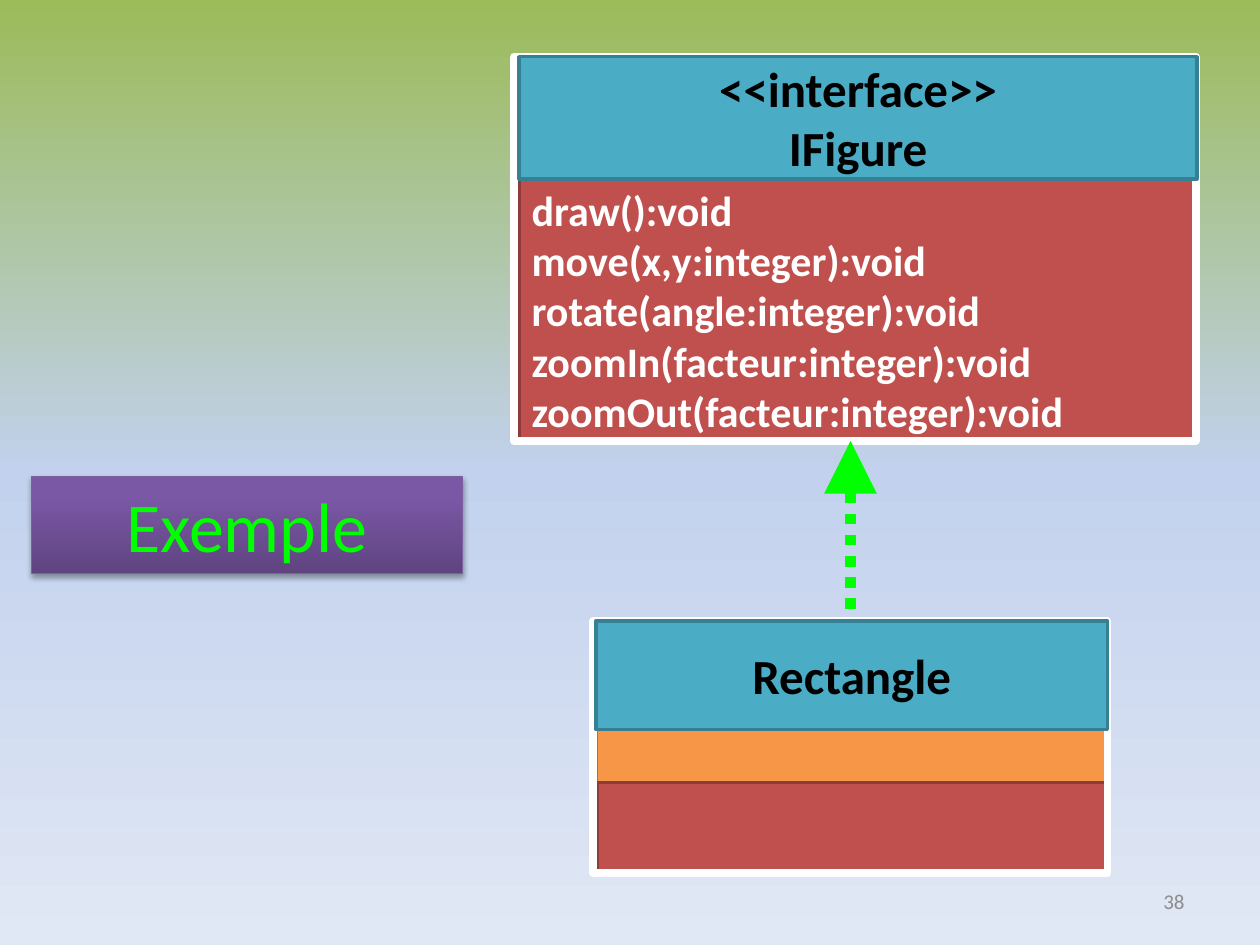
"""Build a UML slide: the class Rectangle realises the interface IFigure."""
from lxml import etree
from pptx import Presentation
from pptx import util as u
from pptx.dml.color import RGBColor
from pptx.enum import dml, shapes, text
from pptx.oxml import ns

COLORS = {
    "green": "00FF00", "white": "FFFFFF", "black": "000000", "grey": "8C8C8C",
    "blue": "4BACC6", "blue_edge": "377F92", "red": "C0504D", "red_edge": "8E3B39",
    "orange": "F79646", "orange_edge": "B76F34", "purple_edge": "7D60A0",
}
SKY = [(0, "9BBB59"), (50, "C2D1ED"), (100, "E1E8F5")]
PURPLE = [(0, "5F4480"), (80, "7B58A6"), (100, "7C57A8")]
LEFT, CENTER, RIGHT = text.PP_ALIGN.LEFT, text.PP_ALIGN.CENTER, text.PP_ALIGN.RIGHT


def write(sp, lines, size, color, align, bold=False, anchor=text.MSO_ANCHOR.MIDDLE):
    """Fill a shape with equally formatted paragraphs."""
    tf = sp.text_frame
    tf.word_wrap = True
    tf.vertical_anchor = anchor
    tf.text = "\n".join(lines)
    for p in tf.paragraphs:
        p.alignment = align
        for r in p.runs:
            r.font.name = "Calibri"
            r.font.size = u.Pt(size)
            r.font.bold = bold
            r.font.color.rgb = RGBColor.from_string(COLORS[color])


def shade(fill, element, stops, angle):
    """Give a fill a linear gradient with any number of stops."""
    fill.gradient()
    fill.gradient_angle = angle
    stop_list = element.xpath(".//a:gsLst")[0]
    for gs in list(stop_list):
        stop_list.remove(gs)
    for pos, color in stops:
        gs = etree.SubElement(stop_list, ns.qn("a:gs"), pos=str(pos * 1000))
        etree.SubElement(gs, ns.qn("a:srgbClr"), val=color)


prs = Presentation()
prs.slide_width, prs.slide_height = u.Inches(10), u.Inches(7.5)
s = prs.slides.add_slide(prs.slide_layouts[5])
shade(s.background.fill, s._element, SKY, 270)

number = s.shapes.add_textbox(u.Inches(7.17), u.Inches(6.95), u.Inches(2.33), u.Inches(0.4))
write(number, ["38"], 12, "grey", RIGHT)

methods = ["draw():void", "move(x,y:integer):void", "rotate(angle:integer):void",
           "zoomIn(facteur:integer):void", "zoomOut(facteur:integer):void"]
interface_parts = [
    (4.12, 1.42, 5.38, 2.08, "red", methods),
    (4.08, 0.45, 5.41, 3.05, None, []),
    (4.12, 0.45, 5.38, 0.97, "blue", ["<<interface>>", "IFigure"]),
]
class_parts = [
    (4.73, 5.37, 4.06, 0.85, "orange", []),
    (4.74, 6.21, 4.06, 0.71, "red", []),
    (4.71, 4.93, 4.08, 2, None, []),
    (4.73, 4.93, 4.06, 0.86, "blue", ["Rectangle"]),
]
for parts in (interface_parts, class_parts):
    group = s.shapes.add_group_shape()
    for x, y, w, h, color, lines in parts:
        sp = group.shapes.add_shape(shapes.MSO_SHAPE.RECTANGLE,
                                    u.Inches(x), u.Inches(y), u.Inches(w), u.Inches(h))
        sp.shadow.inherit = False
        if color:
            sp.fill.solid()
            sp.fill.fore_color.rgb = RGBColor.from_string(COLORS[color])
        else:
            sp.fill.background()
        edge = f"{color}_edge" if color else "white"
        sp.line.color.rgb = RGBColor.from_string(COLORS[edge])
        sp.line.width = u.Pt(2 if color else 4.5)
        if color == "blue":
            write(sp, lines, 28, "black", CENTER, bold=True)
        elif lines:
            write(sp, lines, 24, "white", LEFT, bold=True)

arrow = s.shapes.add_connector(shapes.MSO_CONNECTOR.STRAIGHT,
                               u.Inches(6.75), u.Inches(4.83), u.Inches(6.75), u.Inches(3.5))
arrow.line.color.rgb = RGBColor.from_string(COLORS["green"])
arrow.line.width = u.Pt(6)
arrow.line.dash_style = dml.MSO_LINE.ROUND_DOT
etree.SubElement(arrow.line._get_or_add_ln(), ns.qn("a:tailEnd"),
                 type="triangle", w="lg", len="lg")
etree.SubElement(arrow._element.spPr, ns.qn("a:effectLst"))

title = s.shapes.title
title.left, title.top = u.Inches(0.25), u.Inches(3.78)
title.width, title.height = u.Inches(3.42), u.Inches(0.77)
shade(title.fill, title._element, PURPLE, 90)
title.line.color.rgb = RGBColor.from_string(COLORS["purple_edge"])
title.line.width = u.Pt(0.75)
title.shadow.inherit = False
effects = title._element.spPr.find(ns.qn("a:effectLst"))
shadow = etree.SubElement(effects, ns.qn("a:outerShdw"), blurRad=str(u.Pt(3.1)),
                          dist=str(u.Pt(1.8)), dir="5400000", rotWithShape="0")
tint = etree.SubElement(shadow, ns.qn("a:srgbClr"), val=COLORS["black"])
etree.SubElement(tint, ns.qn("a:alpha"), val="35000")
write(title, ["Exemple"], 40, "green", CENTER, anchor=text.MSO_ANCHOR.TOP)
title.text_frame.auto_size = text.MSO_AUTO_SIZE.NONE

prs.save("out.pptx")
